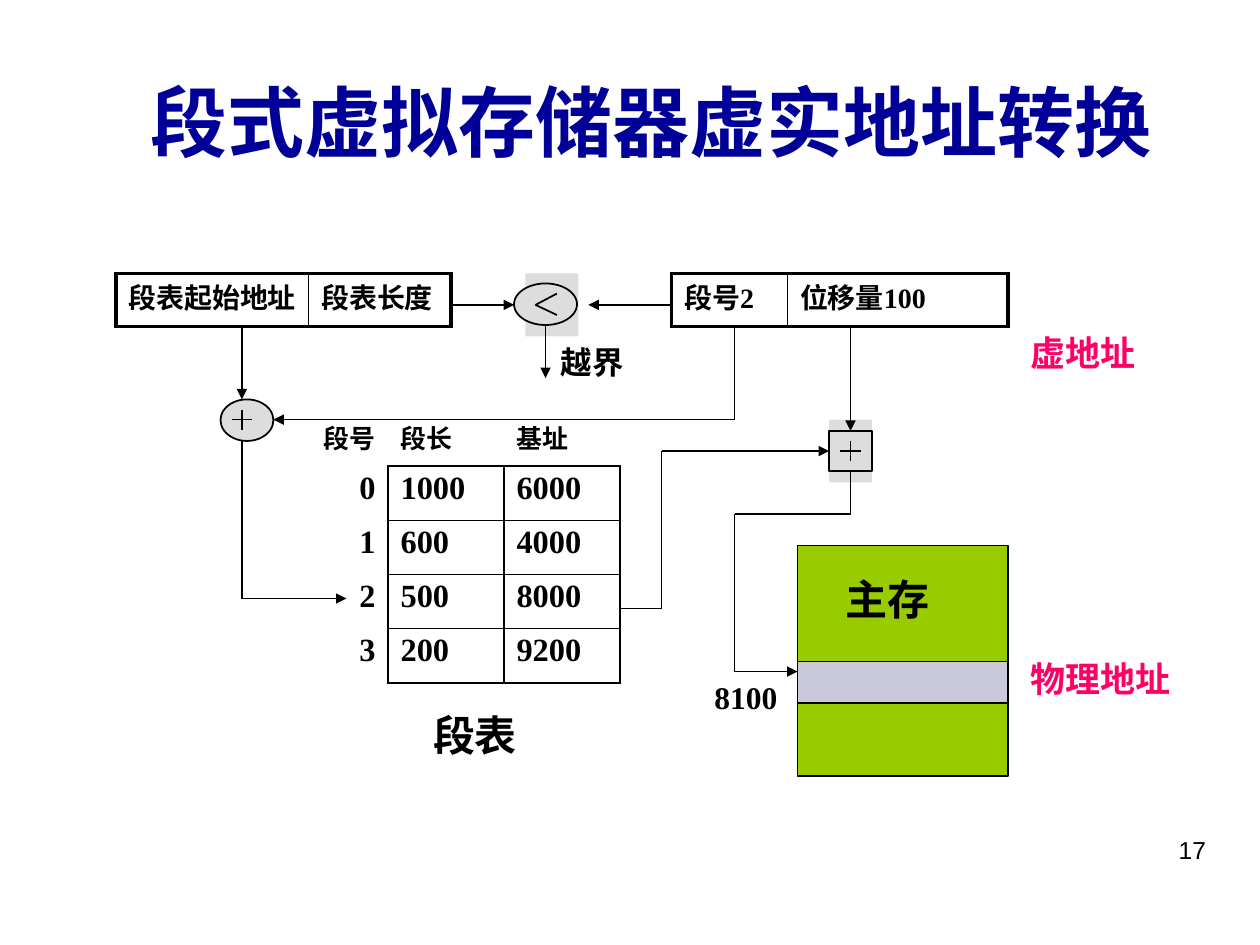
from dataclasses import dataclass
from itertools import pairwise

from lxml import etree
from pptx import Presentation
from pptx.dml.color import RGBColor
from pptx.enum.shapes import MSO_CONNECTOR, MSO_SHAPE
from pptx.enum.text import MSO_ANCHOR, PP_ALIGN
from pptx.oxml.ns import qn
from pptx.util import Inches, Pt


@dataclass(frozen=True)
class Theme:
    font: str = "Times New Roman"
    title_font: str = "Arial"
    black: str = "000000"
    navy: str = "000099"
    pink: str = "FF0066"
    grey: str = "DDDDDD"
    green: str = "99CC00"
    lilac: str = "CACADC"
    title: float = 44
    heading: float = 24
    address: float = 20
    label: float = 18
    cell: float = 18.5
    header: float = 14.8
    register: float = 16
    number: float = 14
    thin: float = 1
    thick: float = 2.25


T = Theme()


def rgb(code):
    return RGBColor.from_string(code)


def style(tf, size, color=T.black, align=PP_ALIGN.LEFT, font=T.font, bold=True):
    p = tf.paragraphs[0]
    p.alignment = align
    for r in p.runs:
        r.font.size = Pt(size)
        r.font.name = font
        r.font.bold = bold
        r.font.color.rgb = rgb(color)


def add_text(s, box, text, size, **look):
    tf = s.shapes.add_textbox(*map(Inches, box)).text_frame
    tf.word_wrap = True
    tf.text = text
    style(tf, size, **look)


def add_block(s, kind, box, fill, outlined=True):
    sp = s.shapes.add_shape(kind, *map(Inches, box))
    sp.shadow.inherit = False
    sp.fill.solid()
    sp.fill.fore_color.rgb = rgb(fill)
    if outlined:
        sp.line.color.rgb = rgb(T.black)
        sp.line.width = Pt(T.thin)
    else:
        sp.line.fill.background()
    return sp


def add_route(s, *points, arrow=True, begin=None, end=None):
    """Join the points with straight lines; begin and end are (shape, site)."""
    lines = []
    for a, b in pairwise(points):
        line = s.shapes.add_connector(MSO_CONNECTOR.STRAIGHT, *map(Inches, a + b))
        line.line.color.rgb = rgb(T.black)
        line.line.width = Pt(T.thin)
        etree.SubElement(line._element.spPr, qn("a:effectLst"))
        lines.append(line)
    if begin:
        lines[0].begin_connect(*begin)
    if end:
        lines[-1].end_connect(*end)
    if arrow:
        ln = lines[-1].line._get_or_add_ln()
        etree.SubElement(ln, qn("a:tailEnd"), type="triangle")


def add_plus(s, x, y, arm=0.08):
    add_route(s, (x - arm, y), (x + arm, y), arrow=False)
    add_route(s, (x, y - arm), (x, y + arm), arrow=False)


def set_borders(cell, **widths):
    """Draw the sides named L, R, T, B at their widths; zero hides a side."""
    tc_pr = cell._tc.get_or_add_tcPr()
    for side in "LRTB":
        width = widths.get(side, 0)
        ln = etree.SubElement(tc_pr, qn(f"a:ln{side}"), w=str(Pt(width)))
        if width:
            fill = etree.SubElement(ln, qn("a:solidFill"))
            etree.SubElement(fill, qn("a:srgbClr"), val=T.black)
        else:
            etree.SubElement(ln, qn("a:noFill"))
    cell.fill.background()


def add_grid(s, left, top, widths, heights):
    table = s.shapes.add_table(len(heights), len(widths), Inches(left), Inches(top),
                               Inches(sum(widths)), Inches(sum(heights))).table
    table.first_row = table.horz_banding = False
    for column, width in zip(table.columns, widths):
        column.width = Inches(width)
    for row, height in zip(table.rows, heights):
        row.height = Inches(height)
    return table


def fill_cell(cell, text, size, margin_top, align=PP_ALIGN.LEFT):
    cell.margin_top, cell.margin_bottom = Inches(margin_top), 0
    cell.text = text
    style(cell.text_frame, size, align=align)


def add_register(s, left, widths, texts):
    table = add_grid(s, left, 2.17, widths, [0.42])
    last = len(texts) - 1
    for i, text in enumerate(texts):
        cell = table.cell(0, i)
        fill_cell(cell, text, T.register, 0.02)
        set_borders(cell, T=T.thick, B=T.thick,
                    L=T.thin if i else T.thick,
                    R=T.thick if i == last else T.thin)


def add_segment_table(s):
    rows = [("段号", "段长", "基址"), ("0", "1000", "6000"), ("1", "600", "4000"),
            ("2", "500", "8000"), ("3", "200", "9200")]
    table = add_grid(s, 2.25, 3.33, [0.83, 0.92, 0.92], [0.37] + [0.43] * 4)
    for i, row in enumerate(rows):
        size, margin_top = (T.cell, 0.06) if i else (T.header, 0.02)
        for j, text in enumerate(row):
            cell = table.cell(i, j)
            fill_cell(cell, text, size, margin_top,
                      PP_ALIGN.LEFT if j else PP_ALIGN.RIGHT)
            cell.text_frame.paragraphs[0].line_spacing = 0.9
            inside = T.thin if i and j else 0
            set_borders(cell, L=inside, T=inside,
                        R=T.thin if i else 0, B=T.thin if j else 0)


def add_title(s, text):
    title = s.shapes.title
    title.left, title.top, title.width, title.height = map(Inches, (0.67, 0.33, 9, 1.25))
    tf = title.text_frame
    tf.text = text
    tf.vertical_anchor = MSO_ANCHOR.MIDDLE
    style(tf, T.title, T.navy, PP_ALIGN.CENTER, T.title_font)


def add_limit_check(s):
    add_block(s, MSO_SHAPE.RECTANGLE, (4.17, 2.17, 0.42, 0.5), T.grey, outlined=False)
    add_block(s, MSO_SHAPE.OVAL, (4.08, 2.25, 0.5, 0.33), T.grey)
    add_route(s, (4.42, 2.33), (4.25, 2.42), (4.42, 2.5), arrow=False)
    add_route(s, (3.58, 2.42), (4.08, 2.42))
    add_route(s, (5.33, 2.42), (4.67, 2.42))
    add_route(s, (4.33, 2.58), (4.33, 3))
    add_text(s, (4.2, 2.67, 1, 0.4), "越界", T.label, align=PP_ALIGN.CENTER)


def add_table_lookup(s):
    add_block(s, MSO_SHAPE.OVAL, (1.75, 3.17, 0.42, 0.33), T.grey)
    add_plus(s, 1.92, 3.33)
    add_route(s, (1.92, 2.58), (1.92, 3.17))
    add_route(s, (5.83, 2.58), (5.83, 3.33), (2.17, 3.33))
    add_route(s, (1.92, 3.5), (1.92, 4.75), (2.75, 4.75))
    add_segment_table(s)
    add_text(s, (3.27, 5.58, 1, 0.5), "段表", T.heading, align=PP_ALIGN.CENTER)


def add_memory_access(s):
    add_block(s, MSO_SHAPE.RECTANGLE, (6.58, 3.33, 0.34, 0.5), T.grey, outlined=False)
    adder = add_block(s, MSO_SHAPE.RECTANGLE, (6.58, 3.42, 0.34, 0.32), T.grey)
    add_plus(s, 6.75, 3.58)
    add_route(s, (4.92, 4.83), (5.25, 4.83), (5.25, 3.58), (6.58, 3.58), end=(adder, 1))
    add_route(s, (6.75, 2.58), (6.75, 3.42), end=(adder, 0))
    add_block(s, MSO_SHAPE.RECTANGLE, (6.33, 4.33, 1.67, 1.83), T.green)
    add_block(s, MSO_SHAPE.RECTANGLE, (6.33, 5.25, 1.67, 0.33), T.lilac)
    add_route(s, (6.75, 3.74), (6.75, 4.08), (5.83, 4.08), (5.83, 5.33), (6.33, 5.33),
              begin=(adder, 2))
    add_text(s, (6.42, 4.5, 1.25, 0.5), "主存", T.heading, align=PP_ALIGN.CENTER)
    add_text(s, (5.17, 5.33, 1.5, 0.4), "8100", T.label, align=PP_ALIGN.CENTER)


def main():
    prs = Presentation()
    prs.slide_width, prs.slide_height = Inches(10), Inches(7.5)
    s = prs.slides.add_slide(prs.slide_layouts[5])
    add_title(s, "段式虚拟存储器虚实地址转换")
    add_register(s, 0.92, [1.53, 1.13], ["段表起始地址", "段表长度"])
    add_register(s, 5.33, [0.92, 1.75], ["段号2", "位移量100"])
    add_limit_check(s)
    add_table_lookup(s)
    add_memory_access(s)
    for top, text in ((2.58, "虚地址"), (5.17, "物理地址")):
        add_text(s, (8.08, top, 1.5, 0.44), text, T.address, color=T.pink)
    add_text(s, (7.17, 6.58, 2.5, 0.52), "17", T.number, align=PP_ALIGN.RIGHT,
             font=T.title_font, bold=False)
    prs.save("out.pptx")


if __name__ == "__main__":
    main()
